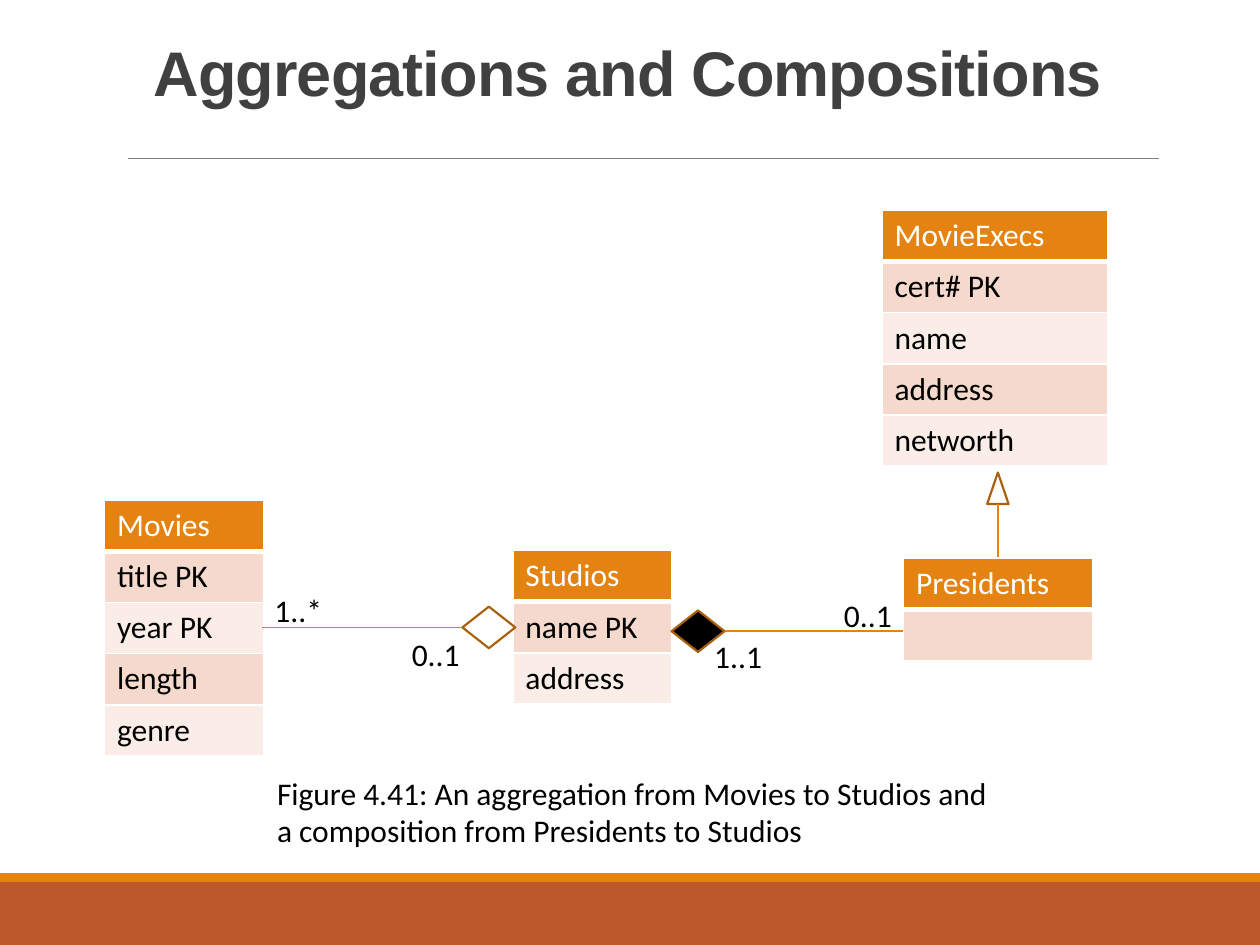
from lxml import etree
from pptx import Presentation
from pptx.dml.color import RGBColor
from pptx.enum.shapes import MSO_CONNECTOR, MSO_SHAPE
from pptx.enum.text import MSO_ANCHOR, PP_ALIGN
from pptx.oxml.ns import qn
from pptx.util import Inches, Pt

STRAIGHT = MSO_CONNECTOR.STRAIGHT
RECTANGLE = MSO_SHAPE.RECTANGLE
DIAMOND = MSO_SHAPE.DIAMOND
TRIANGLE = MSO_SHAPE.ISOSCELES_TRIANGLE
TOP = MSO_ANCHOR.TOP
LEFT, CENTER = PP_ALIGN.LEFT, PP_ALIGN.CENTER

WHITE = RGBColor(0xFF, 0xFF, 0xFF)
BLACK = RGBColor(0x00, 0x00, 0x00)
CHARCOAL = RGBColor(0x40, 0x40, 0x40)
GRAY = RGBColor(0x80, 0x80, 0x80)
ORANGE = RGBColor(0xE4, 0x83, 0x12)
RUST = RGBColor(0xBD, 0x58, 0x2C)
BROWN = RGBColor(0xA9, 0x61, 0x0D)
BANDS = (RGBColor(0xF5, 0xD9, 0xCC), RGBColor(0xFA, 0xED, 0xE7))

ROW_HEIGHT = 0.406
DIAMOND_SIZE = (0.42, 0.33)


def add_run(p, text, color, size=18, font="Calibri", bold=False):
    """Append a formatted run to a paragraph."""
    r = p.add_run()
    r.text = text
    r.font.name, r.font.size, r.font.bold = font, Pt(size), bold
    r.font.color.rgb = color
    return r


def add_shape(s, kind, x, y, w, h, fill=None, line=None):
    """Add a preset shape with an optional fill and outline."""
    sp = s.shapes.add_shape(kind, Inches(x), Inches(y), Inches(w), Inches(h))
    sp.shadow.inherit = False
    if fill is None:
        sp.fill.background()
    else:
        sp.fill.solid()
        sp.fill.fore_color.rgb = fill
    if line is None:
        sp.line.fill.background()
    else:
        sp.line.color.rgb, sp.line.width = line, Pt(1.25)
    return sp


def add_line(s, x1, y1, x2, y2, color=ORANGE, width=1):
    """Add a straight connector without a shadow."""
    cn = s.shapes.add_connector(STRAIGHT, Inches(x1), Inches(y1), Inches(x2), Inches(y2))
    cn.line.color.rgb, cn.line.width = color, Pt(width)
    etree.SubElement(cn._element.spPr, qn("a:effectLst"))
    return cn


def add_text(s, x, y, w, h, lines, wrap=False):
    """Add a text box with one paragraph per line."""
    tf = s.shapes.add_textbox(Inches(x), Inches(y), Inches(w), Inches(h)).text_frame
    tf.word_wrap, tf.vertical_anchor = wrap, TOP
    for i, text in enumerate(lines):
        p = tf.add_paragraph() if i else tf.paragraphs[0]
        p.alignment = LEFT
        add_run(p, text, BLACK)


def set_borders(cell, bottom):
    """Give a cell white borders with the given bottom width."""
    tc_pr = cell._tc.get_or_add_tcPr()
    for i, (side, width) in enumerate((("L", 1), ("R", 1), ("T", 1), ("B", bottom))):
        ln = etree.Element(qn(f"a:ln{side}"), w=str(Pt(width)))
        fill = etree.SubElement(ln, qn("a:solidFill"))
        etree.SubElement(fill, qn("a:srgbClr"), val=str(WHITE))
        tc_pr.insert(i, ln)


def add_class(s, x, y, w, name, attributes):
    """Add a class table with a header and banded attribute rows."""
    rows = [name, *attributes]
    frame = s.shapes.add_table(len(rows), 1, Inches(x), Inches(y), Inches(w),
                               Inches(ROW_HEIGHT * len(rows)))
    for i, text in enumerate(rows):
        cell = frame.table.cell(i, 0)
        cell.fill.solid()
        cell.fill.fore_color.rgb = BANDS[(i - 1) % 2] if i else ORANGE
        set_borders(cell, 1 if i else 3)
        p = cell.text_frame.paragraphs[0]
        p.font.size = Pt(18)
        if text:
            add_run(p, text, BLACK if i else WHITE)


def add_title(s, x, y, w, h, text):
    """Add the centred slide title and the rule below it."""
    tf = s.shapes.add_textbox(Inches(x), Inches(y), Inches(w), Inches(h)).text_frame
    tf.word_wrap, tf.vertical_anchor = True, TOP
    p = tf.paragraphs[0]
    p.alignment, p.line_spacing = CENTER, 0.85
    r = add_run(p, text, CHARCOAL, 36, "Arial", True)
    r.font._element.set("spc", "-50")
    add_line(s, x + 0.38, y + 0.95, x + 8.56, y + 0.95, GRAY, 0.5)


def add_footer(s, x, y, w, h):
    """Add the footer band with its accent strip on top."""
    strip = 0.07
    add_shape(s, RECTANGLE, x, y + strip, w, h - strip, RUST)
    add_shape(s, RECTANGLE, x, y, w, strip, ORANGE)


def add_aggregation(s, x, y, w):
    """Add a line from the left end to a hollow diamond on the right."""
    dw, dh = DIAMOND_SIZE
    sp = add_shape(s, DIAMOND, x + w - dw, y - dh / 2, dw, dh, line=BROWN)
    add_line(s, x + w - dw, y, x, y).begin_connect(sp, 1)
    add_text(s, x, y - 0.34, 0.58, 0.4, ["1..*"])
    add_text(s, x + w - 0.92, y + 0.01, 0.6, 0.4, ["0..1"])


def add_composition(s, x, y, w):
    """Add a filled diamond on the left with a line to the right end."""
    dw, dh = DIAMOND_SIZE
    sp = add_shape(s, DIAMOND, x, y - dh / 2, dw, dh, BLACK, BROWN)
    add_line(s, x + dw, y, x + w, y).begin_connect(sp, 3)
    add_text(s, x + w - 0.57, y - 0.33, 0.6, 0.4, ["0..1"])
    add_text(s, x + 0.24, y, 0.58, 0.4, ["1..1"])


def add_generalization(s, x, y, h):
    """Add a hollow triangle centred on x with a line down from it."""
    tw, th = 0.17, 0.25
    add_shape(s, TRIANGLE, x - tw / 2, y, tw, th, line=BROWN)
    add_line(s, x, y + th, x, y + h)


def main():
    """Build and save the slide."""
    prs = Presentation()
    prs.slide_width, prs.slide_height = Inches(10), Inches(7.5)
    s = prs.slides.add_slide(prs.slide_layouts[6])
    add_footer(s, 0, 6.93, 10, 0.57)
    add_title(s, 0.64, 0.31, 8.68, 0.92, "Aggregations and Compositions")
    add_class(s, 0.83, 3.97, 1.26, "Movies", ["title PK", "year PK", "length", "genre"])
    add_class(s, 4.07, 4.37, 1.26, "Studios", ["name PK", "address"])
    add_class(s, 7.17, 4.43, 1.5, "Presidents", [""])
    add_class(s, 7, 1.67, 1.79, "MovieExecs", ["cert# PK", "name", "address", "networth"])
    add_text(s, 2.1, 6.09, 5.91, 0.71,
             ["Figure 4.41: An aggregation from Movies to Studios and",
              "a composition from Presidents to Studios"])
    add_aggregation(s, 2.08, 4.98, 2.01)
    add_composition(s, 5.33, 5.01, 1.84)
    add_generalization(s, 7.92, 3.75, 0.67)
    prs.save("out.pptx")


if __name__ == "__main__":
    main()
